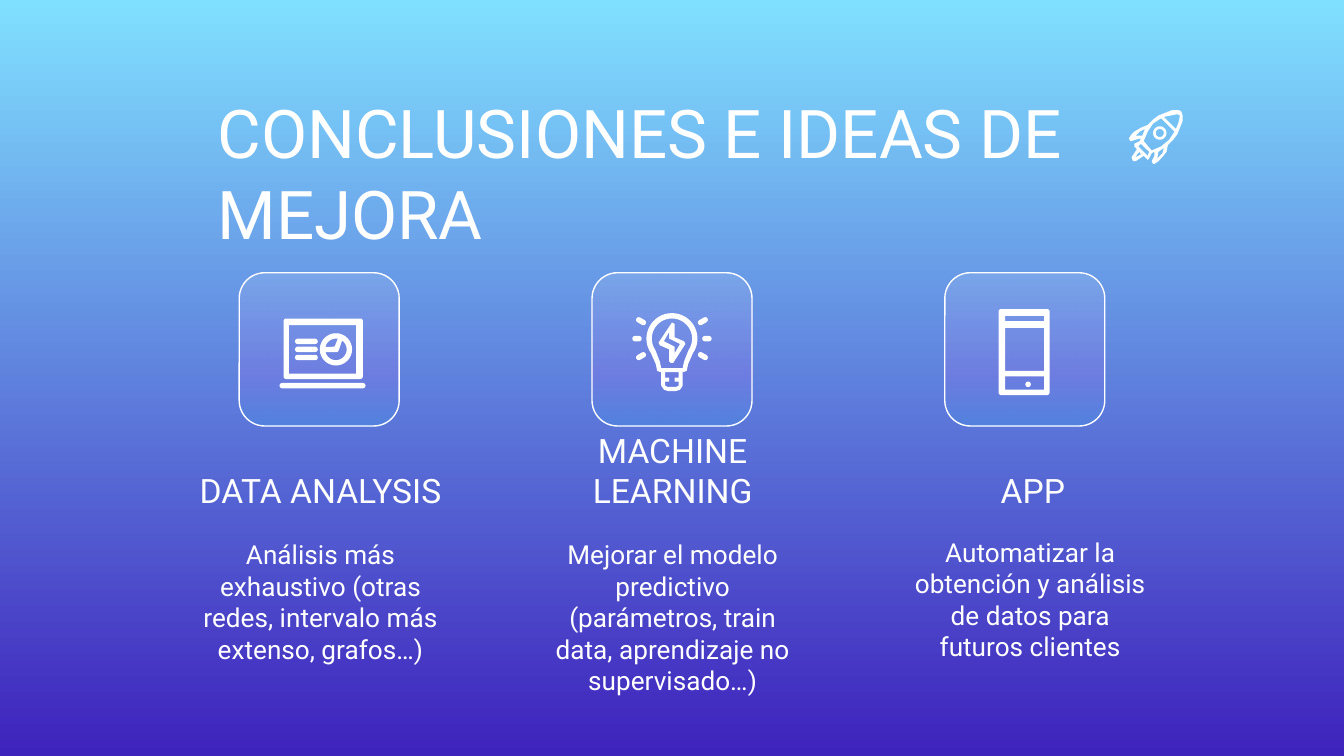
"""Build the slide of conclusions and improvement ideas."""
from math import cos, radians, sin

from lxml.etree import SubElement
from pptx import Presentation
from pptx.dml.color import RGBColor
from pptx.enum.shapes import MSO_SHAPE
from pptx.enum.text import MSO_ANCHOR, PP_ALIGN
from pptx.oxml.ns import qn
from pptx.util import Inches, Pt

WHITE = RGBColor(0xFF, 0xFF, 0xFF)
SKY = RGBColor(0x80, 0xE0, 0xFF)
INDIGO = RGBColor(0x3E, 0x22, 0xBC)
PINK = RGBColor(0xE3, 0x54, 0xF7)
CYAN = RGBColor(0x10, 0xEC, 0xFF)
FONT = "Roboto"

FIRST_CARD, LAST_CARD = 1.78, 7.03
COLUMNS = [
    ("DATA ANALYSIS", (1.36, 3.26),
     "Análisis más exhaustivo (otras redes, intervalo más extenso, grafos…)", (1.36, 3.91)),
    ("MACHINE LEARNING", (3.98, 3.26),
     "Mejorar el modelo predictivo (parámetros, train data, aprendizaje no supervisado…)",
     (3.98, 3.91)),
    ("APP", (6.66, 3.26),
     "Automatizar la obtención y análisis de datos para futuros clientes", (6.64, 3.89)),
]

ROCKET_HULL = [
    (8.77, 0.82), (8.72, 0.82), (8.67, 0.84), (8.62, 0.86), (8.58, 0.89), (8.54, 0.93),
    (8.49, 0.95), (8.44, 0.98), (8.42, 1), (8.4, 1.03), (8.41, 1.05), (8.42, 1.05),
    (8.45, 1.04), (8.49, 1.03), (8.48, 1.05), (8.44, 1.07), (8.44, 1.09), (8.46, 1.11),
    (8.44, 1.14), (8.42, 1.17), (8.43, 1.2), (8.45, 1.2), (8.48, 1.18), (8.51, 1.16),
    (8.53, 1.18), (8.54, 1.19), (8.55, 1.18), (8.57, 1.14), (8.59, 1.13), (8.59, 1.16),
    (8.57, 1.2), (8.58, 1.22), (8.59, 1.22), (8.62, 1.2), (8.64, 1.18), (8.68, 1.13),
    (8.69, 1.08), (8.73, 1.04), (8.76, 1), (8.78, 0.95), (8.8, 0.9), (8.8, 0.86),
    (8.79, 0.83),
]
ROCKET_HOLES = [
    [(8.76, 0.85), (8.78, 0.86), (8.77, 0.91), (8.75, 0.96), (8.66, 0.87), (8.71, 0.86)],
    [(8.52, 0.96), (8.5, 1.01), (8.45, 1.01), (8.48, 0.98)],
    [(8.64, 0.88), (8.74, 0.98), (8.7, 1.04), (8.64, 1.09), (8.57, 1.12), (8.51, 1.05),
     (8.54, 0.98), (8.58, 0.92)],
    [(8.49, 1.07), (8.55, 1.13), (8.54, 1.16), (8.47, 1.09)],
    [(8.48, 1.13), (8.49, 1.15), (8.45, 1.17), (8.46, 1.15)],
    [(8.66, 1.1), (8.65, 1.14), (8.61, 1.18), (8.62, 1.13)],
]
BULB_NECK = [
    (5.12, 2.71), (5.11, 2.76), (5.08, 2.77), (5.08, 2.87), (5.06, 2.9), (5.03, 2.91),
    (4.97, 2.91), (4.94, 2.9), (4.92, 2.87), (4.92, 2.77), (4.89, 2.76), (4.88, 2.71),
]
BULB_BASE = [
    (4.95, 2.77), (5.05, 2.77), (5.05, 2.81), (5.02, 2.81), (5.02, 2.84), (5.05, 2.84),
    (5.05, 2.87), (5.03, 2.88), (4.97, 2.88), (4.95, 2.87), (4.95, 2.84), (4.98, 2.84),
    (4.98, 2.81), (4.95, 2.81),
]
BOLT = [
    (5, 2.4), (4.9, 2.55), (4.91, 2.57), (4.98, 2.6), (4.98, 2.69), (4.99, 2.7),
    (5.01, 2.7), (5.1, 2.56), (5.09, 2.54), (5.02, 2.51), (5.02, 2.41),
]
BOLT_HOLE = [
    (4.98, 2.47), (4.98, 2.52), (5.06, 2.56), (5.02, 2.63), (5.02, 2.58), (4.94, 2.54),
]


def arc(x, y, radius, start=0, end=360):
    """Return the points of a circular arc, clockwise, in degrees."""
    angles = [radians(start + (end - start) * step / 32) for step in range(33)]
    return [(x + radius * cos(angle), y + radius * sin(angle)) for angle in angles]


def rectangle(left, top, right, bottom, radius=0):
    """Return the points of a rectangle, rounded at the corners by a radius."""
    if not radius:
        return [(left, top), (right, top), (right, bottom), (left, bottom)]
    near_x, far_x = left + radius, right - radius
    near_y, far_y = top + radius, bottom - radius
    return (arc(near_x, near_y, radius, 180, 270) + arc(far_x, near_y, radius, 270, 360)
            + arc(far_x, far_y, radius, 0, 90) + arc(near_x, far_y, radius, 90, 180))


def fill_white(shape):
    """Give a shape a plain white fill without line or shadow."""
    shape.shadow.inherit = False
    shape.fill.solid()
    shape.fill.fore_color.rgb = WHITE
    shape.line.fill.background()


def add_outline(page, *contours):
    """Draw one white freeform; inner contours become holes."""
    points = [[(Inches(x), Inches(y)) for x, y in contour] for contour in contours]
    builder = page.shapes.build_freeform(*points[0][0])
    builder.add_line_segments(points[0][1:], close=True)
    for contour in points[1:]:
        builder.move_to(*contour[0])
        builder.add_line_segments(contour[1:], close=True)
    fill_white(builder.convert_to_shape())


def add_pill(page, x, y, width, height=0.04, rotation=0):
    """Draw a white bar with round ends, centred on a point."""
    pill = page.shapes.add_shape(
        MSO_SHAPE.ROUNDED_RECTANGLE, Inches(x - width / 2), Inches(y - height / 2),
        Inches(width), Inches(height))
    pill.adjustments[0] = 0.5
    pill.rotation = rotation
    fill_white(pill)


def paint_gradient(fill, element, stops, opacity=100):
    """Fill from top to bottom with (position, colour) stops in percent."""
    fill.gradient()
    fill.gradient_angle = 270
    stop_list = element.xpath(".//a:gsLst")[0]
    for old_stop in list(stop_list):
        stop_list.remove(old_stop)
    for position, color in stops:
        stop = SubElement(stop_list, qn("a:gs"), pos=str(position * 1000))
        tint = SubElement(stop, qn("a:srgbClr"), val=str(color))
        if opacity < 100:
            SubElement(tint, qn("a:alpha"), val=str(opacity * 1000))


def add_text(page, text, left, top, width, height, size,
             align=PP_ALIGN.LEFT, anchor=MSO_ANCHOR.TOP):
    """Add a wrapped white text box."""
    box = page.shapes.add_textbox(Inches(left), Inches(top), Inches(width), Inches(height))
    frame = box.text_frame
    frame.word_wrap = True
    frame.vertical_anchor = anchor
    frame.margin_left = frame.margin_right = Inches(0.1)
    frame.margin_top = frame.margin_bottom = Inches(0.1)
    para = frame.paragraphs[0]
    para.alignment = align
    span = para.add_run()
    span.text = text
    span.font.name = FONT
    span.font.size = Pt(size)
    span.font.color.rgb = WHITE


def add_card(page, left):
    """Draw a translucent rounded tile for an icon."""
    card = page.shapes.add_shape(
        MSO_SHAPE.ROUNDED_RECTANGLE, Inches(left), Inches(2.03), Inches(1.19), Inches(1.14))
    card.shadow.inherit = False
    paint_gradient(card.fill, card._element, [(0, WHITE), (66, PINK), (100, CYAN)], opacity=11)
    card.line.color.rgb = WHITE
    card.line.width = Pt(0.75)


def add_phone(page):
    """Draw the phone icon."""
    add_outline(page, rectangle(7.43, 2.3, 7.81, 2.94, 0.02), rectangle(7.48, 2.35, 7.77, 2.39),
                rectangle(7.48, 2.44, 7.77, 2.76), rectangle(7.48, 2.8, 7.77, 2.9))
    add_outline(page, arc(7.65, 2.86, 0.02))


def add_laptop(page):
    """Draw the laptop icon with its pie and text lines."""
    add_outline(page, rectangle(2.11, 2.37, 2.7, 2.82, 0.02), rectangle(2.15, 2.42, 2.65, 2.78))
    add_pill(page, 2.4, 2.87, 0.64)
    add_outline(page, arc(2.5, 2.6, 0.12), arc(2.5, 2.6, 0.08, 193, 280) + [(2.49, 2.58)],
                arc(2.5, 2.6, 0.08, 305, 525) + [(2.51, 2.62), (2.52, 2.61)])
    for line in range(3):
        add_pill(page, 2.28, 2.54 + 0.06 * line, 0.17)


def add_bulb(page):
    """Draw the light bulb icon with its rays."""
    add_outline(page, arc(5, 2.52, 0.19, 145, 395) + BULB_NECK,
                arc(5, 2.52, 0.15, 145, 395)
                + [(5.09, 2.69), (5.08, 2.74), (4.92, 2.74), (4.91, 2.69)],
                BULB_BASE)
    for side in (-1, 1):
        add_pill(page, 5 + side * 0.26, 2.52, 0.07)
        for level in (-1, 1):
            add_pill(page, 5 + side * 0.23, 2.52 + level * 0.13, 0.08, rotation=30 * side * level)
    add_outline(page, BOLT, BOLT_HOLE)


def add_rocket(page):
    """Draw the rocket icon with its window."""
    add_outline(page, ROCKET_HULL, *ROCKET_HOLES)
    add_outline(page, arc(8.63, 0.99, 0.05), arc(8.63, 0.99, 0.03))


def main():
    """Build and save the deck."""
    deck = Presentation()
    deck.slide_width = Inches(10)
    deck.slide_height = Inches(10 * 9 / 16)
    page = deck.slides.add_slide(deck.slide_layouts[6])
    paint_gradient(page.background.fill, page._element, [(0, SKY), (100, INDIGO)])
    add_text(page, "CONCLUSIONES E IDEAS DE MEJORA", 1.52, 0.58, 6.88, 0.9, size=36)
    card_step = (LAST_CARD - FIRST_CARD) / (len(COLUMNS) - 1)
    for index, (heading, heading_at, body, body_at) in enumerate(COLUMNS):
        add_card(page, FIRST_CARD + card_step * index)
        add_text(page, heading, *heading_at, 2.05, 0.64, size=18,
                 align=PP_ALIGN.CENTER, anchor=MSO_ANCHOR.BOTTOM)
        add_text(page, body, *body_at, 2.05, 0.9, size=14, align=PP_ALIGN.CENTER)
    for add_icon in (add_phone, add_laptop, add_rocket, add_bulb):
        add_icon(page)
    deck.save("out.pptx")


if __name__ == "__main__":
    main()
